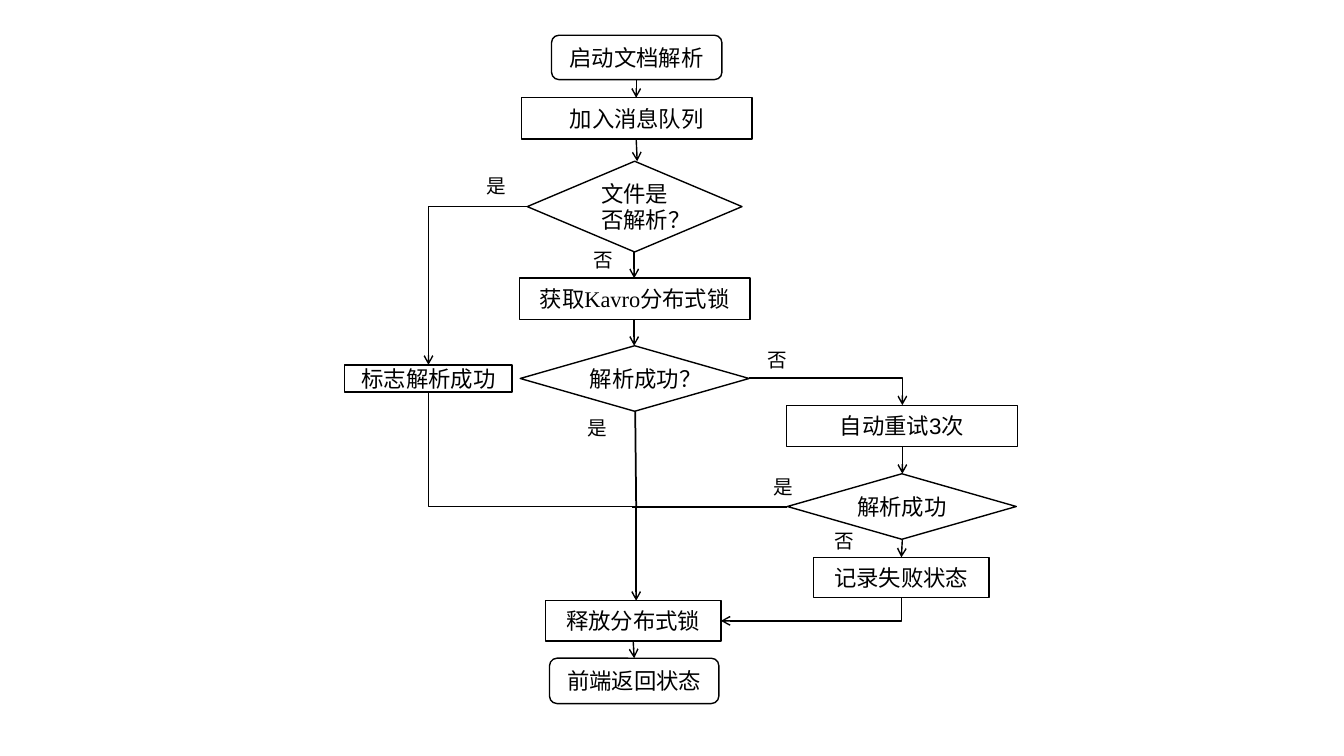
from dataclasses import dataclass

from pptx import Presentation
from pptx.dml.color import RGBColor
from pptx.enum import shapes, text
from pptx.oxml import ns
from pptx.oxml.xmlchemy import OxmlElement
from pptx.util import Inches, Pt

BLACK = RGBColor(0, 0, 0)
LATIN, CHINESE, SERIF = "Arial", "Noto Sans CJK SC", "Times New Roman"
TERMINAL = shapes.MSO_SHAPE.ROUNDED_RECTANGLE
PROCESS = shapes.MSO_SHAPE.RECTANGLE
DECISION = shapes.MSO_SHAPE.FLOWCHART_DECISION


@dataclass(frozen=True)
class Step:
    kind: shapes.MSO_SHAPE
    left: float
    top: float
    width: float
    height: float
    runs: tuple[tuple[str, str], ...]


@dataclass(frozen=True)
class Answer:
    left: float
    top: float
    width: float
    height: float
    wording: str


@dataclass(frozen=True)
class Flow:
    start: tuple[float, float]
    end: tuple[float, float]
    preset: str = "line"
    down_first: bool = False
    bend: int | None = None
    arrow: bool = True
    weight: float = 1


STEPS = [
    Step(TERMINAL, 5.47, 0.35, 1.69, 0.44, (("启动文档解析", LATIN),)),
    Step(PROCESS, 5.17, 0.97, 2.29, 0.41, (("加入消息队列", LATIN),)),
    Step(DECISION, 5.23, 1.6, 2.13, 0.9, (("文件是否解析？", LATIN),)),
    Step(PROCESS, 5.15, 2.76, 2.29, 0.41,
         (("获取", CHINESE), ("Kavro", SERIF), ("分布式锁", CHINESE))),
    Step(DECISION, 5.16, 3.43, 2.27, 0.65, (("解析成功？", LATIN),)),
    Step(PROCESS, 3.42, 3.62, 1.66, 0.27, (("标志解析成功", LATIN),)),
    Step(PROCESS, 7.8, 4.02, 2.29, 0.41, (("自动重试3次", LATIN),)),
    Step(DECISION, 7.81, 4.7, 2.27, 0.65, (("解析成功", LATIN),)),
    Step(PROCESS, 8.07, 5.53, 1.74, 0.4, (("记录失败状态", LATIN),)),
    Step(PROCESS, 5.41, 5.96, 1.74, 0.4, (("释放分布式锁", LATIN),)),
    Step(TERMINAL, 5.45, 6.53, 1.68, 0.45, (("前端返回状态", LATIN),)),
]

FLOWS = [
    Flow((6.31, 0.79), (6.31, 0.97)),
    Flow((6.31, 1.38), (6.32, 1.6)),
    Flow((6.29, 2.5), (6.29, 2.76)),
    Flow((6.29, 3.17), (6.29, 3.43)),
    Flow((8.95, 4.43), (8.95, 4.7)),
    Flow((8.95, 5.35), (8.94, 5.53)),
    Flow((6.28, 6.36), (6.29, 6.53)),
    Flow((6.3, 4.08), (6.31, 5.04), arrow=False, weight=1.25),
    Flow((7.81, 5.03), (6.27, 5.03), arrow=False, weight=1.25),
    Flow((5.23, 2.05), (4.25, 3.62), "bentConnector2"),
    Flow((7.43, 3.75), (8.95, 4.02), "bentConnector2"),
    Flow((8.94, 5.93), (7.15, 6.16), "bentConnector2", down_first=True),
    Flow((4.25, 3.89), (6.31, 5.96), "bentConnector3", down_first=True, bend=54800),
]

ANSWERS = [
    Answer(4.73, 1.68, 0.43, 0.37, "是"),
    Answer(5.79, 2.41, 0.4, 0.3, "否"),
    Answer(7.51, 3.4, 0.53, 0.3, "否"),
    Answer(5.73, 4.08, 0.46, 0.33, "是"),
    Answer(7.57, 4.66, 0.47, 0.33, "是"),
    Answer(8.18, 5.2, 0.47, 0.28, "否"),
]


def draw_step(slide, step: Step) -> None:
    box = slide.shapes.add_shape(
        step.kind, Inches(step.left), Inches(step.top), Inches(step.width), Inches(step.height))
    box.shadow.inherit = False
    box.fill.background()
    box.line.color.rgb = BLACK
    box.line.width = Pt(1)
    frame = box.text_frame
    frame.word_wrap = True
    frame.vertical_anchor = text.MSO_ANCHOR.MIDDLE
    paragraph = frame.paragraphs[0]
    paragraph.alignment = text.PP_ALIGN.CENTER
    paragraph.font.size = Pt(16)
    paragraph.font.color.rgb = BLACK
    for wording, typeface in step.runs:
        run = paragraph.add_run()
        run.text = wording
        run.font.name = typeface


def draw_flow(slide, flow: Flow) -> None:
    (x1, y1), (x2, y2) = flow.start, flow.end
    if flow.down_first:
        centre_x, centre_y = (x1 + x2) / 2, (y1 + y2) / 2
        across, down = (x2 - x1) / 2, (y2 - y1) / 2
        x1, y1 = centre_x - down, centre_y + across
        x2, y2 = centre_x + down, centre_y - across
    connector = slide.shapes.add_connector(
        shapes.MSO_CONNECTOR.STRAIGHT, Inches(x1), Inches(y1), Inches(x2), Inches(y2))
    connector.line.color.rgb = BLACK
    connector.line.width = Pt(flow.weight)
    properties = connector._element.spPr
    if flow.down_first:
        properties.find(ns.qn("a:xfrm")).set("rot", "5400000")
    geometry = properties.find(ns.qn("a:prstGeom"))
    geometry.set("prst", flow.preset)
    if flow.bend is not None:
        guide = OxmlElement("a:gd")
        guide.set("name", "adj1")
        guide.set("fmla", f"val {flow.bend}")
        geometry.find(ns.qn("a:avLst")).append(guide)
    if flow.arrow:
        tail = OxmlElement("a:tailEnd")
        tail.set("type", "arrow")
        properties.find(ns.qn("a:ln")).append(tail)
    properties.append(OxmlElement("a:effectLst"))


def draw_answer(slide, answer: Answer) -> None:
    label = slide.shapes.add_textbox(
        Inches(answer.left), Inches(answer.top), Inches(answer.width), Inches(answer.height))
    label.text_frame.word_wrap = True
    paragraph = label.text_frame.paragraphs[0]
    paragraph.text = answer.wording
    paragraph.font.name = LATIN
    paragraph.font.size = Pt(14)
    paragraph.font.color.rgb = BLACK


def main() -> None:
    deck = Presentation()
    deck.slide_width, deck.slide_height = Inches(13.33), Inches(7.5)
    slide = deck.slides.add_slide(deck.slide_layouts.get_by_name("Blank"))
    for step in STEPS:
        draw_step(slide, step)
    for flow in FLOWS:
        draw_flow(slide, flow)
    for answer in ANSWERS:
        draw_answer(slide, answer)
    deck.save("out.pptx")


if __name__ == "__main__":
    main()
